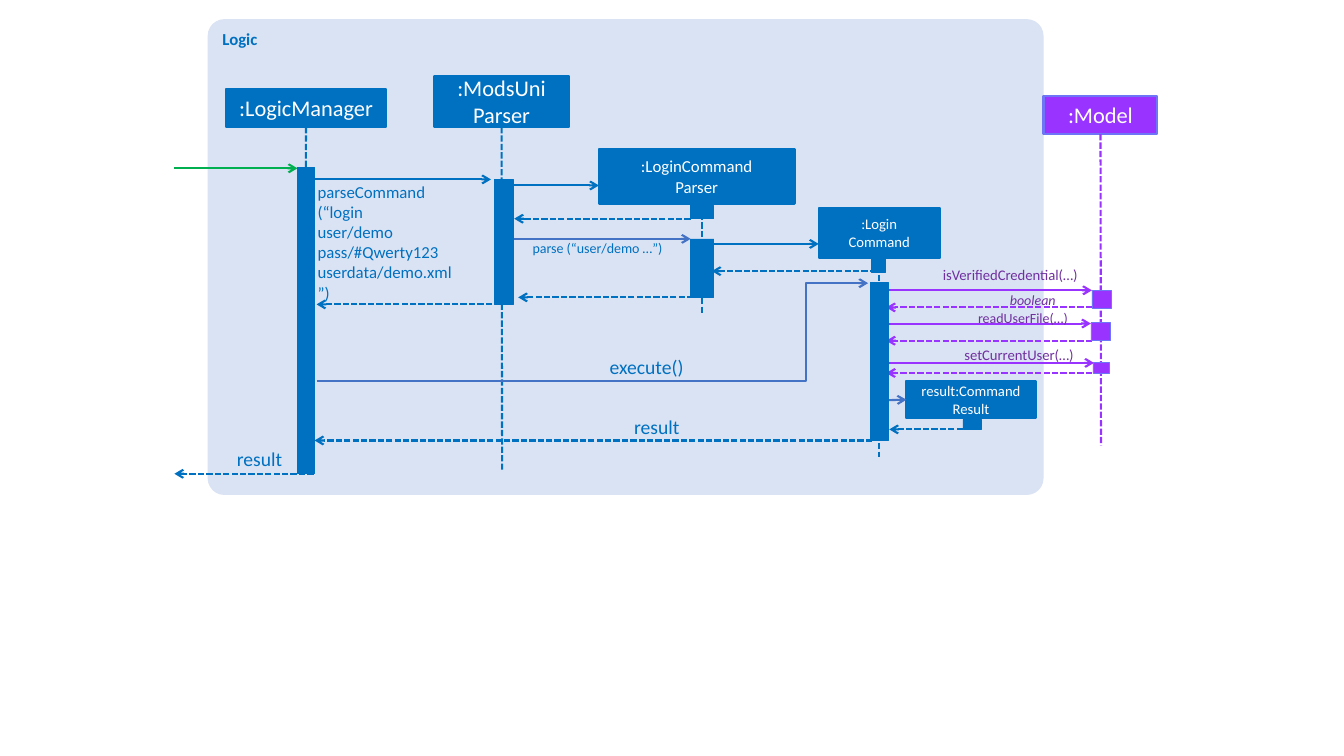
from pptx import Presentation
from pptx import util as u
from pptx.dml.color import RGBColor
from pptx.enum import dml, shapes, text
from pptx.oxml.ns import qn
from lxml import etree


class Theme:
    font = "Calibri"
    panel, blue, accent = "DAE3F3", "0070C0", "4472C4"
    violet, violet_edge, plum = "9933FF", "6F75F7", "7030A0"
    green, white = "00B050", "FFFFFF"
    head, call, body, note, small = 16, 14, 12, 10.5, 10
    stroke, thin = 1.5, 0.5


def put_text(sp, words, size, color, align, bold=False, italic=False):
    tf = sp.text_frame
    tf.word_wrap = True
    tf.text = words
    for p in tf.paragraphs:
        p.alignment = align
        for r in p.runs:
            r.font.name = Theme.font
            r.font.size = u.Pt(size)
            r.font.bold = bold
            r.font.italic = italic
            r.font.color.rgb = RGBColor.from_string(color)


def link(x1, y1, x2, y2, color, dashed=False, arrow=True, kind=shapes.MSO_CONNECTOR.STRAIGHT):
    cx = s.shapes.add_connector(kind, *map(u.Inches, (x1, y1, x2, y2)))
    cx.line.color.rgb = RGBColor.from_string(color)
    cx.line.width = u.Pt(Theme.stroke)
    if dashed:
        cx.line.dash_style = dml.MSO_LINE.SQUARE_DOT
    spPr = cx._element.spPr
    if arrow:
        etree.SubElement(spPr.find(qn("a:ln")), qn("a:tailEnd"), type="arrow")
    etree.SubElement(spPr, qn("a:effectLst"))
    return cx


T = Theme
LEFT, CENTER, RIGHT = text.PP_ALIGN.LEFT, text.PP_ALIGN.CENTER, text.PP_ALIGN.RIGHT
prs = Presentation()
prs.slide_width, prs.slide_height = u.Inches(13.33), u.Inches(7.5)
s = prs.slides.add_slide(prs.slide_layouts[6])

panel = s.shapes.add_shape(shapes.MSO_SHAPE.ROUNDED_RECTANGLE, *map(u.Inches, (2.06, 0.19, 8.29, 4.72)))
panel.adjustments[0] = 0.035
panel.shadow.inherit = False
panel.fill.solid()
panel.fill.fore_color.rgb = RGBColor.from_string(T.panel)
panel.line.fill.background()
panel.text_frame.vertical_anchor = text.MSO_ANCHOR.TOP
put_text(panel, "Logic", T.body, T.blue, LEFT, bold=True)

participants = [
    (":LogicManager", 2.24, 0.88, 1.59, 0.38, T.head, T.blue, T.blue),
    (":ModsUni\nParser", 4.31, 0.75, 1.33, 0.51, T.head, T.blue, T.blue),
    (":LoginCommand\nParser", 5.94, 1.48, 1.94, 0.54, T.body, T.blue, T.blue),
    (":Login\nCommand", 8.12, 2.06, 1.2, 0.5, T.note, T.blue, T.blue),
    ("result:Command Result", 8.99, 3.78, 1.28, 0.37, T.note, T.blue, T.blue),
    (":Model", 10.35, 0.95, 1.13, 0.38, T.head, T.violet, T.violet_edge),
]
heads = []
for words, x, y, w, h, size, fill, edge in participants:
    sp = s.shapes.add_shape(shapes.MSO_SHAPE.RECTANGLE, *map(u.Inches, (x, y, w, h)))
    sp.shadow.inherit = False
    sp.fill.solid()
    sp.fill.fore_color.rgb = RGBColor.from_string(fill)
    sp.line.color.rgb = RGBColor.from_string(edge)
    sp.line.width = u.Pt(T.stroke)
    sp.text_frame.vertical_anchor = text.MSO_ANCHOR.MIDDLE
    put_text(sp, words, size, T.white, CENTER)
    heads.append(sp)
manager, parser, login_parser, login_command, command_result, model = heads

lifelines = [
    (manager, 3.03, 1.26, 4.12, T.blue),
    (parser, 4.98, 1.26, 4.66, T.blue),
    (login_command, 8.72, 2.56, 4.53, T.blue),
    (model, 10.92, 1.33, 4.42, T.violet),
]
for head, x, top, bottom, color in lifelines:
    link(x, top, x, bottom, color, dashed=True, arrow=False).begin_connect(head, 2)
link(6.96, 2.04, 6.96, 3.12, T.blue, dashed=True, arrow=False)

calls = [
    (1.73, 2.95, 1.67, T.green),
    (3.12, 4.87, 1.78, T.blue),
    (5.04, 5.94, 1.84, T.blue),
    (5.1, 6.85, 2.37, T.accent),
    (7.01, 8.12, 2.42, T.blue),
    (8.8, 10.83, 2.88, T.violet),
    (8.8, 10.82, 3.21, T.violet),
    (8.69, 10.85, 3.6, T.violet),
]
for x1, x2, y, color in calls:
    link(x1, y, x2, y, color)
link(8.81, 3.97, 8.99, 3.97, T.accent).end_connect(command_result, 1)

returns = [
    (6.85, 5.1, 2.17, T.blue),
    (8.69, 7.06, 2.69, T.blue),
    (6.96, 5.14, 2.95, T.blue),
    (4.88, 3.14, 3.02, T.blue),
    (9.55, 8.82, 4.26, T.blue),
    (8.65, 3.12, 4.37, T.blue),
    (3.11, 1.73, 4.7, T.blue),
    (10.83, 8.79, 3.05, T.violet),
    (10.83, 8.79, 3.38, T.violet),
    (10.83, 8.79, 3.7, T.violet),
]
for x1, x2, y, color in returns:
    link(x1, y, x2, y, color, dashed=True)

execute = link(3.14, 3.78, 8.61, 2.81, T.accent, kind=shapes.MSO_CONNECTOR.ELBOW)
bend = execute._element.spPr.find(qn("a:prstGeom")).get_or_add_avLst()
etree.SubElement(bend, qn("a:gd"), name="adj1", fmla="val 88700")

activations = [
    (2.95, 1.66, 0.17, 3.04, T.blue, T.blue),
    (4.9, 1.78, 0.19, 1.24, T.blue, T.blue),
    (6.85, 2.04, 0.23, 0.13, T.blue, T.blue),
    (6.85, 2.37, 0.23, 0.58, T.blue, T.blue),
    (8.64, 2.52, 0.14, 0.18, T.blue, T.blue),
    (8.63, 2.8, 0.18, 1.57, T.blue, T.blue),
    (9.55, 4.16, 0.18, 0.1, T.blue, T.blue),
    (10.83, 2.88, 0.19, 0.18, T.violet, T.violet_edge),
    (10.82, 3.2, 0.19, 0.18, T.violet, T.violet_edge),
    (10.84, 3.6, 0.16, 0.1, T.violet, T.violet_edge),
]
for x, y, w, h, fill, edge in activations:
    bar = s.shapes.add_shape(shapes.MSO_SHAPE.RECTANGLE, *map(u.Inches, (x, y, w, h)))
    bar.shadow.inherit = False
    bar.fill.solid()
    bar.fill.fore_color.rgb = RGBColor.from_string(fill)
    bar.line.color.rgb = RGBColor.from_string(edge)
    bar.line.width = u.Pt(T.thin)

parse_command = "parseCommand\n(“login\nuser/demo\npass/#Qwerty123\nuserdata/demo.xml\n”)"
labels = [
    (parse_command, 3.15, 1.8, 1.56, 1.21, T.body, T.blue, LEFT),
    ("parse (“user/demo …”)", 5.01, 2.38, 1.56, 0.17, T.small, T.blue, RIGHT),
    ("execute()", 5.84, 3.52, 0.94, 0.24, T.call, T.blue, RIGHT),
    ("result", 6.06, 4.12, 0.68, 0.24, T.call, T.blue, RIGHT),
    ("result", 1.97, 4.43, 0.83, 0.24, T.call, T.blue, RIGHT),
    ("isVerifiedCredential(…)", 9.13, 2.64, 1.56, 0.18, T.note, T.plum, RIGHT),
    ("boolean", 8.91, 2.89, 1.56, 0.17, T.small, T.plum, RIGHT),
    ("readUserFile(…)", 9.03, 3.07, 1.56, 0.17, T.small, T.plum, RIGHT),
    ("setCurrentUser(…)", 9.09, 3.43, 1.56, 0.18, T.note, T.plum, RIGHT),
]
for words, x, y, w, h, size, color, align in labels:
    tb = s.shapes.add_textbox(*map(u.Inches, (x, y, w, h)))
    tf = tb.text_frame
    tf.margin_left = tf.margin_right = tf.margin_top = tf.margin_bottom = 0
    tf.auto_size = text.MSO_AUTO_SIZE.SHAPE_TO_FIT_TEXT
    put_text(tb, words, size, color, align, italic=words == "boolean")

prs.save("out.pptx")
